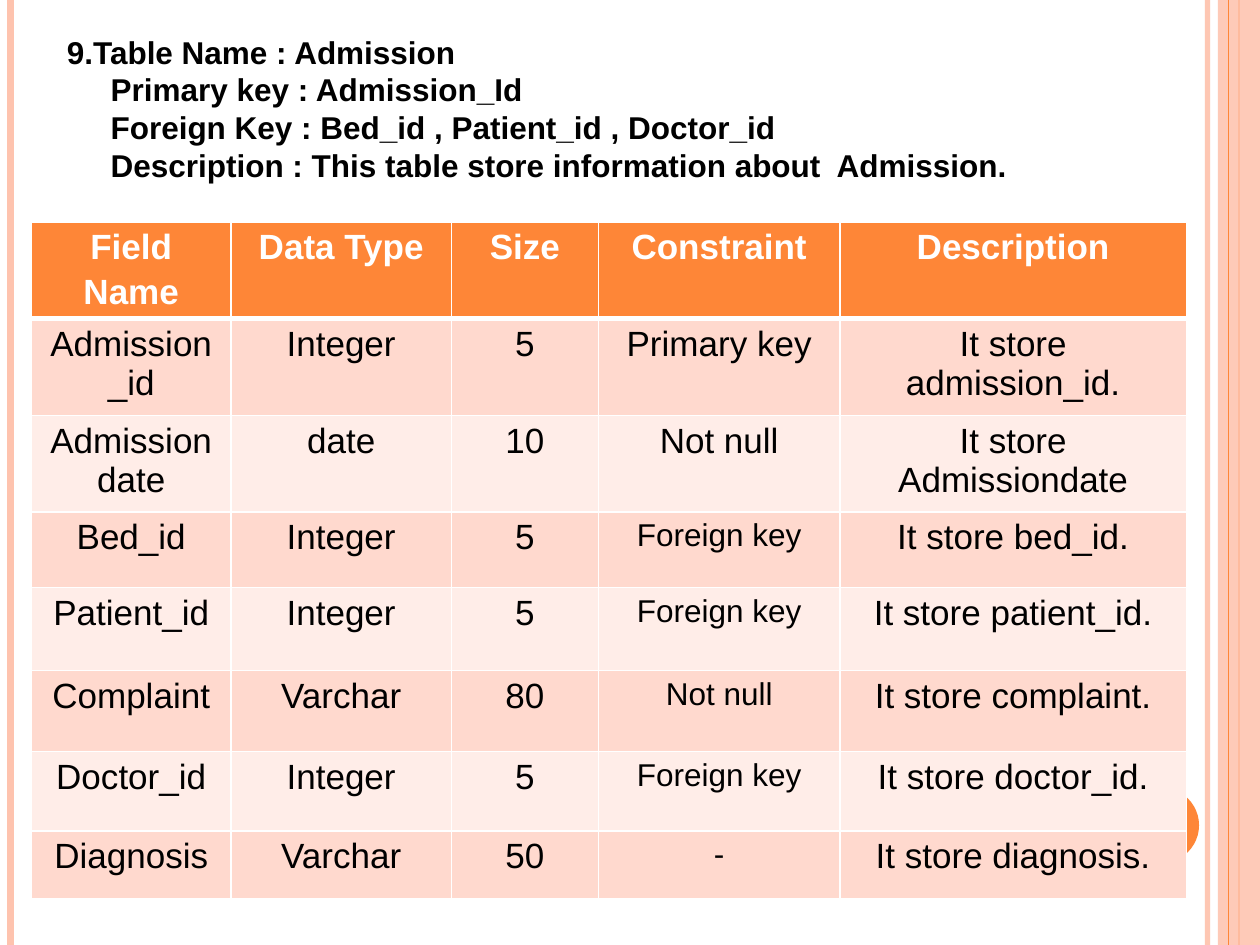
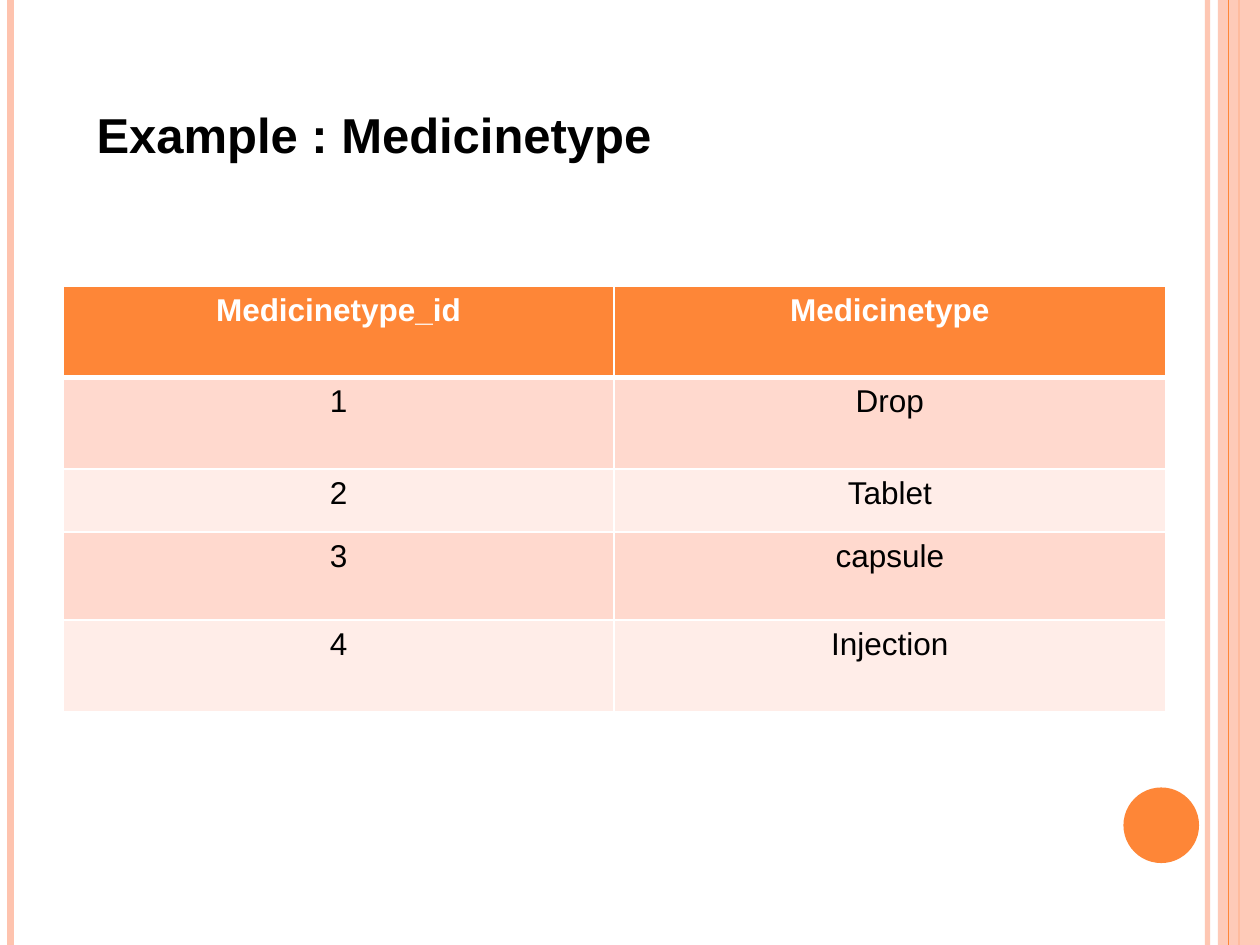
from dataclasses import dataclass

from lxml import etree
from pptx import Presentation
from pptx.dml.color import RGBColor
from pptx.enum.shapes import MSO_CONNECTOR, MSO_SHAPE
from pptx.enum.text import MSO_ANCHOR, MSO_AUTO_SIZE, PP_ALIGN
from pptx.oxml.ns import qn
from pptx.util import Pt

STRAIGHT = MSO_CONNECTOR.STRAIGHT
RECT, OVAL = MSO_SHAPE.RECTANGLE, MSO_SHAPE.OVAL
TOP, NO_FIT = MSO_ANCHOR.TOP, MSO_AUTO_SIZE.NONE
LEFT, CENTER = PP_ALIGN.LEFT, PP_ALIGN.CENTER
TITLE_ONLY = 5
WIDTH, HEIGHT = 720, 540


@dataclass(frozen=True)
class Theme:
    font: str = "Arial"
    accent: str = "FE8637"
    pale: str = "FEC3AE"
    row_dark: str = "FFD9CE"
    row_light: str = "FFEDE8"
    ink: str = "000000"
    paper: str = "FFFFFF"
    title: int = 28
    large: int = 20
    normal: int = 18
    rule: int = 1
    header_rule: int = 3


THEME = Theme()


def rgb(value):
    return RGBColor.from_string(value)


def style(p, size, color, bold, align):
    p.alignment = align
    for r in p.runs:
        r.font.name = THEME.font
        r.font.size = Pt(size)
        r.font.bold = bold
        r.font.color.rgb = rgb(color)


def set_alpha(shape, percent):
    color = next(shape._element.spPr.iter(qn("a:srgbClr")))
    etree.SubElement(color, qn("a:alpha")).set("val", str(percent * 1000))


# Frame shared by all slides
def add_rule(slide, x, color, weight):
    line = slide.shapes.add_connector(STRAIGHT, Pt(x), Pt(0), Pt(x), Pt(HEIGHT))
    line.line.color.rgb = rgb(color)
    line.line.width = Pt(weight)
    etree.SubElement(line._element.spPr, qn("a:effectLst"))
    return line


def add_filled(slide, kind, box, color):
    s = slide.shapes.add_shape(kind, *map(Pt, box))
    s.shadow.inherit = False
    s.fill.solid()
    s.fill.fore_color.rgb = rgb(color)
    s.line.fill.background()
    return s


def add_frame(slide):
    set_alpha(add_rule(slide, 690, THEME.pale, 3), 93)
    add_rule(slide, 6, THEME.pale, 4.5)
    add_rule(slide, 708, THEME.accent, 1.5)
    band = add_filled(slide, RECT, (696, 0, WIDTH - 696, HEIGHT), THEME.pale)
    set_alpha(band, 87)
    add_rule(slide, 702, THEME.accent, 0.75)
    add_filled(slide, OVAL, (642, 450, 43.2, 43.2), THEME.accent)


# Heading: the lines after the first are indented
def add_heading(slide, box, lines, size, indent=25):
    title = slide.shapes.title
    title.left, title.top, title.width, title.height = map(Pt, box)
    tf = title.text_frame
    tf.text = "\n".join(lines)
    tf.auto_size = NO_FIT
    tf.word_wrap = True
    tf.vertical_anchor = TOP
    for i, p in enumerate(tf.paragraphs):
        if i:
            p._p.get_or_add_pPr().set("marL", str(Pt(indent)))
        style(p, size, THEME.ink, True, LEFT)


# Table with an accent header and banded rows
def set_borders(cell, row):
    tc_pr = cell._tc.get_or_add_tcPr()
    weights = {side: THEME.rule for side in ("lnL", "lnR", "lnT", "lnB")}
    if row < 2:
        weights["lnT" if row else "lnB"] = THEME.header_rule
    for side, weight in weights.items():
        ln = etree.SubElement(tc_pr, qn(f"a:{side}"), w=str(Pt(weight)))
        fill = etree.SubElement(ln, qn("a:solidFill"))
        etree.SubElement(fill, qn("a:srgbClr"), val=THEME.paper)


def add_grid(slide, left, top, columns, heights, rows, size_at):
    frame = slide.shapes.add_table(len(rows), len(columns), Pt(left), Pt(top),
                                   Pt(sum(columns)), Pt(sum(heights)))
    table = frame.table
    for column, width in zip(table.columns, columns):
        column.width = Pt(width)
    for i, (values, height) in enumerate(zip(rows, heights)):
        table.rows[i].height = Pt(height)
        band = THEME.row_dark if i % 2 else THEME.row_light
        for j, value in enumerate(values):
            cell = table.cell(i, j)
            cell.text = value
            set_borders(cell, i)
            cell.fill.solid()
            cell.fill.fore_color.rgb = rgb(band if i else THEME.accent)
            for p in cell.text_frame.paragraphs:
                style(p, size_at(i, j), THEME.ink if i else THEME.paper,
                      i == 0, CENTER)
    return table


# Slides
def new_slide(prs):
    slide = prs.slides.add_slide(prs.slide_layouts[TITLE_ONLY])
    add_frame(slide)
    return slide


def admission_slide(prs):
    slide = new_slide(prs)
    rows = [
        ("Field Name", "Data Type", "Size", "Constraint", "Description"),
        ("Admission_id", "Integer", "5", "Primary key", "It store admission_id."),
        ("Admission\ndate", "date", "10", "Not null", "It store Admissiondate"),
        ("Bed_id", "Integer", "5", "Foreign key", "It store bed_id."),
        ("Patient_id", "Integer", "5", "Foreign key", "It store patient_id."),
        ("Complaint", "Varchar", "80", "Not null", "It store complaint."),
        ("Doctor_id", "Integer", "5", "Foreign key", "It store doctor_id."),
        ("Diagnosis", "Varchar", "50", "-", "It store diagnosis."),
    ]

    def size_at(row, column):
        return THEME.normal if row > 2 and column == 3 else THEME.large

    table = add_grid(slide, 18, 126.75, (114, 126, 84, 138, 198),
                     (55.3, 55.3, 55.3, 43.1, 47.4, 46.5, 45.3, 38.9),
                     rows, size_at)
    for cell in table.rows[0].cells:
        cell.margin_left = cell.margin_right = Pt(5)
        cell.margin_top = cell.margin_bottom = Pt(0)
        cell.text_frame.paragraphs[0].line_spacing = 1.15
    add_heading(slide, (31, 15, 635, 94.5), (
        "9.Table Name : Admission",
        "Primary key : Admission_Id",
        "Foreign Key : Bed_id , Patient_id , Doctor_id",
        "Description : This table store information about  Admission.",
    ), THEME.normal)


def medicine_slide(prs):
    slide = new_slide(prs)
    kinds = ("Drop", "Tablet", "capsule", "Injection")
    rows = [("Medicinetype_id", "Medicinetype")]
    rows += [(str(n), kind) for n, kind in enumerate(kinds, 1)]
    add_grid(slide, 36, 163.5, (315, 315), (52.3, 52.3, 36, 50.3, 52.3), rows,
             lambda row, column: THEME.normal)
    add_heading(slide, (48, 56, 414, 41), ("Example : Medicinetype",),
                THEME.title)


def main():
    prs = Presentation()
    prs.slide_width, prs.slide_height = Pt(WIDTH), Pt(HEIGHT)
    admission_slide(prs)
    medicine_slide(prs)
    prs.save("out.pptx")


if __name__ == "__main__":
    main()
